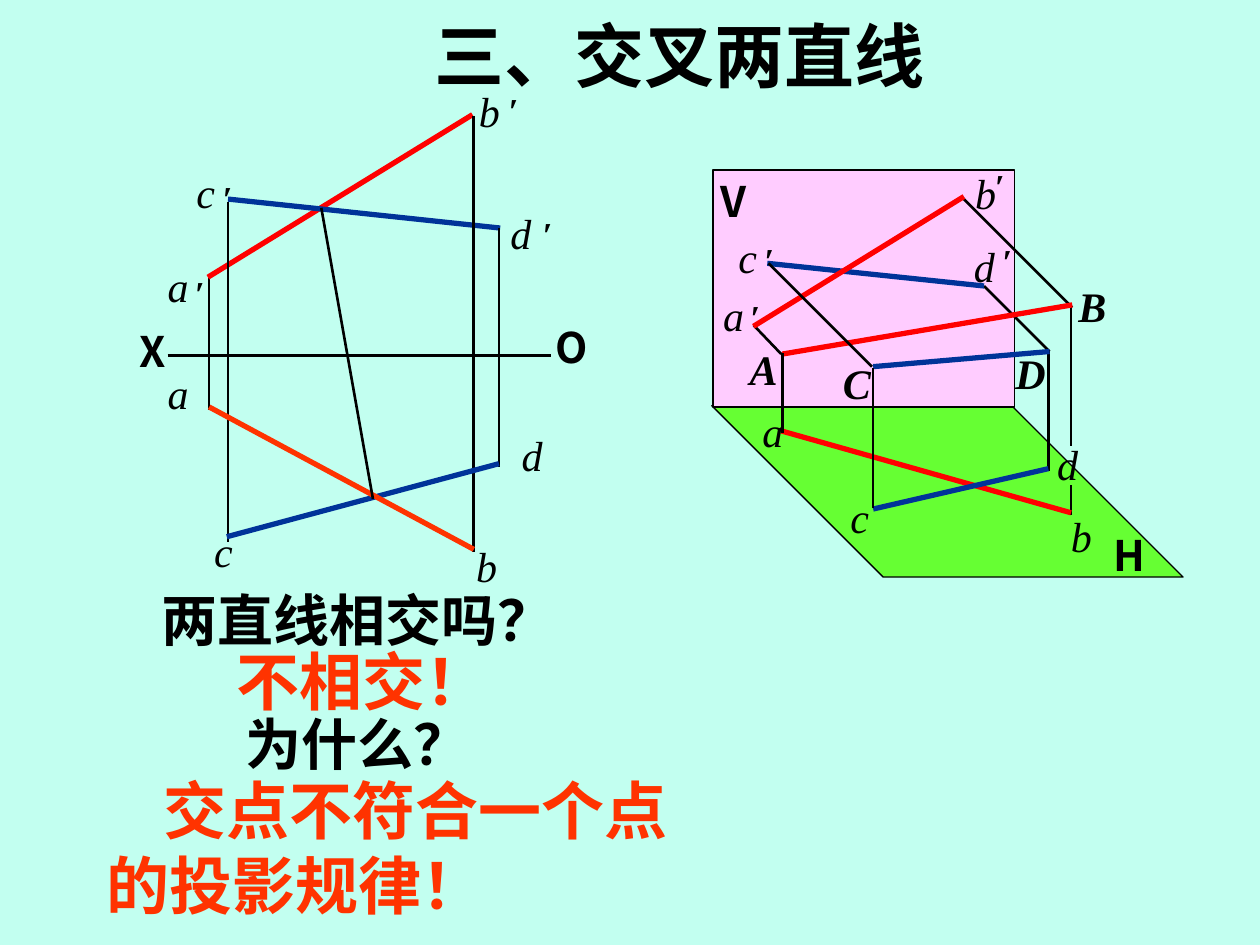
import pptx
import pptx.util
import pptx.dml.color
import pptx.enum.shapes
import pptx.enum.text
from lxml import etree

Inches, Pt = pptx.util.Inches, pptx.util.Pt
COLORS = {
    "background": "C2FFF0", "black": "000000", "red": "FF0000",
    "orange": "FF3300", "blue": "003399", "pink": "FFCCFF", "green": "66FF33",
}
SANS, SERIF = "Noto Sans CJK SC", "Times New Roman"

# Content: text, box, size, font, colour, wraps, vertically centred, first-line indent
TITLE = ("三、交叉两直线", (3.04, 0.05, 4.71, 0.77))
STATEMENTS = [
    ("为什么？", (1.85, 5.58, 1.99, 0.64), 32, SERIF, "black", True, False, 0),
    ("两直线相交吗？", (1.18, 4.6, 3.31, 0.64), 32, SERIF, "black", False, False, 0),
    ("不相交！", (1.78, 5.05, 2.2, 0.7), 36, SERIF, "orange", False, True, 0),
    ("交点不符合一个点的投影规律！", (0.75, 6.07, 4.79, 1.3), 36, SANS, "orange",
     True, True, 0.45),
]

# Lines: from x, from y, to x, to y, colour
PROJECTION_LINES = [
    (1.66, 2.2, 1.66, 3.25, "black"),
    (1.65, 2.2, 3.75, 0.91, "red"),
    (1.81, 1.58, 3.97, 1.81, "blue"),
    (1.33, 2.82, 4.37, 2.82, "black"),
    (1.81, 1.6, 1.81, 4.3, "black"),
    (3.76, 0.92, 3.76, 4.38, "black"),
    (3.96, 1.81, 3.96, 3.71, "black"),
    (1.8, 4.26, 3.96, 3.68, "blue"),
    (1.66, 3.23, 3.76, 4.36, "orange"),
]
CROSSING_LINE = (2.55, 1.65, 2.96, 3.96, "black")
SPACE_LINES = [
    (8.32, 2.78, 8.32, 3.74, "black"),
    (7.81, 2.27, 8.33, 2.79, "black"),
    (8.5, 2.44, 8.5, 3.54, "black"),
    (8.5, 3.85, 8.5, 4.09, "black"),
    (7.63, 1.56, 8.51, 2.44, "black"),
    (5.98, 2.58, 6.2, 2.81, "black"),
    (6.2, 3.42, 8.5, 4.07, "red"),
    (6.09, 2.09, 7.81, 2.27, "blue"),
    (6.93, 4.04, 8.32, 3.72, "blue"),
    (6.93, 2.91, 8.33, 2.79, "blue"),
    (6.21, 2.81, 8.51, 2.42, "red"),
    (5.98, 2.59, 7.65, 1.56, "red"),
    (6.1, 2.09, 6.92, 2.91, "black"),
    (6.93, 2.92, 6.93, 4.03, "black"),
    (6.21, 2.8, 6.21, 3.44, "black"),
]

# Labels: text, left, top
PROJECTION_LABELS = [
    ("c", 1.7, 4.17), ("a", 1.33, 2.92), ("c", 1.56, 1.32), ("a", 1.33, 2.07),
    ("b", 3.78, 4.29), ("d", 4.14, 3.41), ("d", 4.05, 1.65), ("b", 3.8, 0.68),
    ("O", 4.41, 2.55), ("X", 1.11, 2.58),
    ("′", 4.21, 1.63), ("′", 3.94, 0.65), ("′", 1.45, 2.1), ("′", 1.67, 1.35),
]
SPACE_LABELS = [
    ("a", 6.05, 3.22), ("c", 6.75, 3.9), ("c", 5.86, 1.84), ("A", 5.95, 2.73),
    ("a", 5.74, 2.3), ("C", 6.69, 2.84), ("V", 5.72, 1.39), ("b", 8.5, 4.05),
    ("H", 8.84, 4.2), ("d", 8.39, 3.48), ("d", 7.73, 1.91), ("D", 8.06, 2.76),
    ("B", 8.56, 2.23), ("b", 7.74, 1.33),
    ("′", 5.97, 1.84), ("′", 7.86, 1.85), ("′", 7.8, 1.25), ("′", 5.86, 2.29),
]


def rgb(name):
    return pptx.dml.color.RGBColor.from_string(COLORS[name])


def write(shape, text, size, font=SERIF, color="black", bold=True, italic=False,
          wrap=True, middle=False, inset=True, centred=False, indent=0):
    frame = shape.text_frame
    frame.text = text
    frame.word_wrap = wrap
    frame.auto_size = pptx.enum.text.MSO_AUTO_SIZE.NONE
    anchors = pptx.enum.text.MSO_ANCHOR
    frame.vertical_anchor = anchors.MIDDLE if middle else anchors.TOP
    frame.margin_left = frame.margin_right = Inches(0.1 if inset else 0)
    frame.margin_top = frame.margin_bottom = Inches(0.05 if inset else 0)
    paragraph = frame.paragraphs[0]
    alignments = pptx.enum.text.PP_ALIGN
    paragraph.alignment = alignments.CENTER if centred else alignments.LEFT
    paragraph.space_before = Pt(0)
    paragraph.line_spacing = Pt(1.2 * size)
    if indent:
        paragraph._p.get_or_add_pPr().set("indent", str(Inches(indent)))
    run = paragraph.runs[0]
    run.font.size, run.font.name = Pt(size), font
    run.font.bold, run.font.italic = bold, italic
    run.font.color.rgb = rgb(color)
    latin = run._r.rPr.find(pptx.oxml.ns.qn("a:latin"))
    east_asian = etree.Element(pptx.oxml.ns.qn("a:ea"), typeface=SANS)
    latin.addnext(east_asian)


def add_line(shapes, x1, y1, x2, y2, color):
    line = shapes.add_connector(pptx.enum.shapes.MSO_CONNECTOR.STRAIGHT,
                                *map(Inches, (x1, y1, x2, y2)))
    line.line.color.rgb = rgb(color)
    line.line.width = Pt(1.5 if color == "black" else 3)
    etree.SubElement(line._element.spPr, pptx.oxml.ns.qn("a:effectLst"))


def add_label(shapes, text, left, top):
    prime = text == "′"
    width, height = (0.41, 0.44) if prime else (0.3, 0.4)
    box = shapes.add_textbox(*map(Inches, (left, top, width, height)))
    if prime:
        write(box, text, 20, middle=True)
    elif text in "XOVH":
        write(box, text, 24, SANS, inset=False)
    else:
        write(box, text, 24, bold=text.isupper(), italic=True, inset=False)


def add_plane(shapes, kind, box, color):
    plane = shapes.add_shape(kind, *map(Inches, box))
    plane.shadow.inherit = False
    plane.fill.solid()
    plane.fill.fore_color.rgb = rgb(color)
    plane.line.color.rgb = rgb("black")
    plane.line.width = Pt(0.75)
    return plane


def add_drawing(shapes, lines, labels):
    for line in lines:
        add_line(shapes, *line)
    for label in labels:
        add_label(shapes, *label)


presentation = pptx.Presentation()
presentation.slide_width, presentation.slide_height = Inches(10), Inches(7.5)
slide = presentation.slides.add_slide(presentation.slide_layouts[5])
slide.background.fill.solid()
slide.background.fill.fore_color.rgb = rgb("background")

# Title
title = slide.shapes.title
title.left, title.top, title.width, title.height = map(Inches, TITLE[1])
write(title, TITLE[0], 40, SANS, middle=True, centred=True)

# Questions and answers
for text, box, size, font, color, wrap, middle, indent in STATEMENTS:
    statement = slide.shapes.add_textbox(*map(Inches, box))
    write(statement, text, size, font, color, wrap=wrap, middle=middle, indent=indent)

# Two-view projection
projection = slide.shapes.add_group_shape().shapes
add_drawing(projection, PROJECTION_LINES, PROJECTION_LABELS)
add_line(slide.shapes, *CROSSING_LINE)

# Lines in space with planes H and V
space = slide.shapes.add_group_shape().shapes
kinds = pptx.enum.shapes.MSO_SHAPE
plane_h = add_plane(space, kinds.PARALLELOGRAM, (5.65, 3.22, 3.74, 1.36), "green")
plane_h.adjustments[0] = 1
plane_h._element.spPr.xfrm.set("flipH", "1")
add_plane(space, kinds.RECTANGLE, (5.66, 1.35, 2.39, 1.88), "pink")
add_drawing(space, SPACE_LINES, SPACE_LABELS)

presentation.save("out.pptx")
